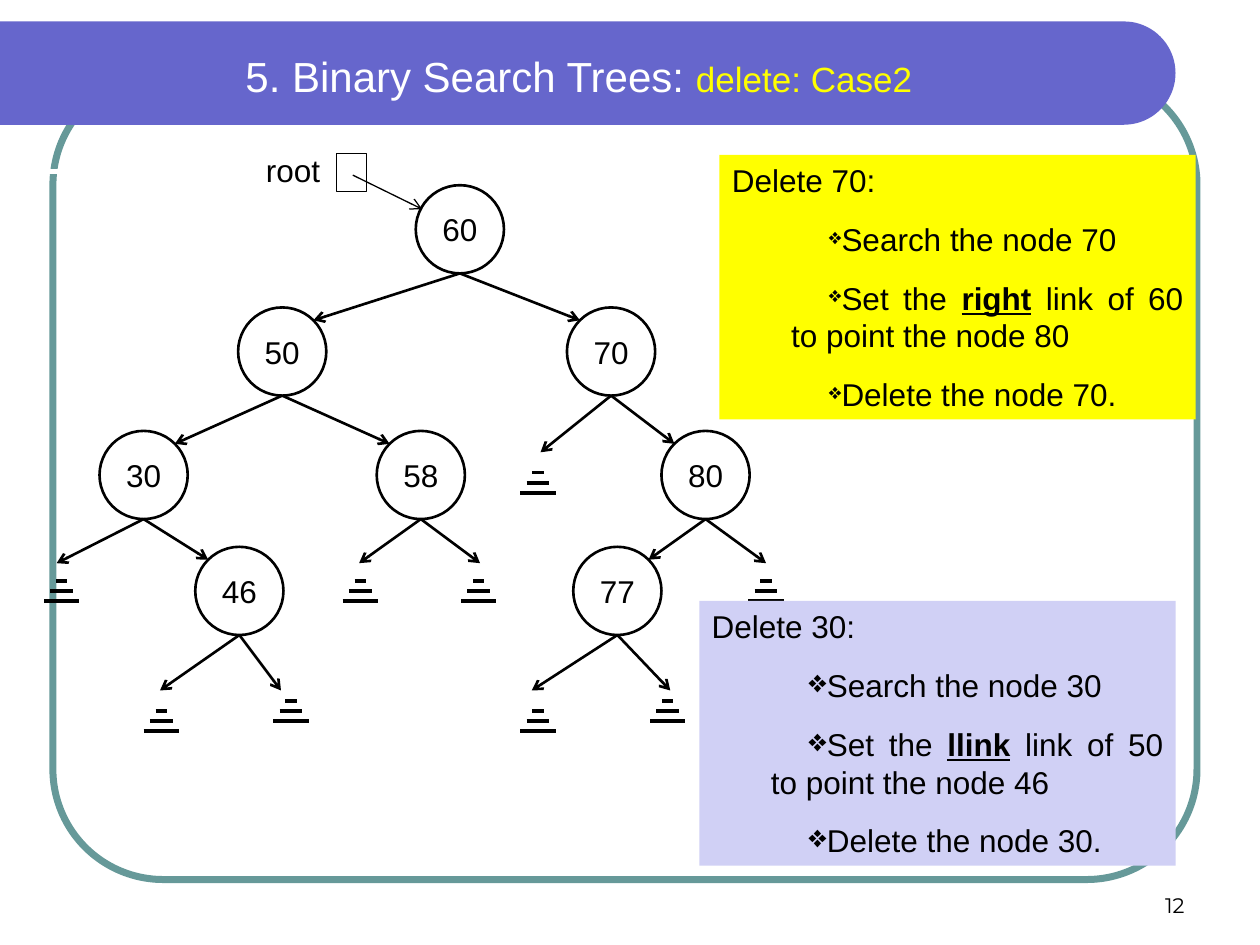
from math import cos, pi, sin

from lxml.etree import SubElement
from pptx import Presentation
from pptx.dml.color import RGBColor
from pptx.enum.shapes import MSO_CONNECTOR as LINE, MSO_SHAPE as SHAPE
from pptx.enum.text import MSO_ANCHOR as ANCHOR, PP_ALIGN as ALIGN
from pptx.oxml.ns import qn
from pptx.util import Inches, Pt

COLORS = {
    "black": "000000", "white": "FFFFFF", "frame": "669999", "banner": "6666CC",
    "yellow": "FFFF00", "lavender": "D0D0F5",
}

# Content
TITLE = [("5. Binary Search Trees: ", 24, "white"), ("delete: Case2", 20, "yellow")]
PAGE_NUMBER = "12"
NODE_SIZE = 0.7
ROW_TOPS = [1.47, 2.44, 3.42, 4.34]
# key: (centre x, row)
NODES = {
    60: (3.65, 0),
    50: (2.24, 1), 70: (4.85, 1),
    30: (1.14, 2), 58: (3.34, 2), 80: (5.6, 2),
    77: (4.9, 3), 46: (1.9, 3),
}
EDGES = [(60, 50), (60, 70), (50, 30), (50, 58), (30, 46), (70, 80), (80, 77)]
# parent, arrow end, (centre x, base y) of the null symbol
NULL_LINKS = [
    (30, (0.45, 4.47), (0.49, 4.77)),
    (58, (2.85, 4.47), (2.86, 4.77)),
    (58, (3.81, 4.47), (3.8, 4.77)),
    (46, (1.27, 5.48), (1.28, 5.8)),
    (46, (2.23, 5.48), (2.31, 5.72)),
    (70, (4.29, 3.59), (4.27, 3.91)),
    (80, (6.08, 4.47), (6.08, 4.77)),
    (77, (4.22, 5.48), (4.27, 5.8)),
    (77, (5.32, 5.48), (5.3, 5.72)),
]
NULL_BARS = [0.28, 0.18, 0.09]
NULL_BAR_GAP = 0.08
# left, top, fill, bullet size in percent, heading, steps; "*" marks emphasis
NOTES = [
    (5.71, 1.23, "yellow", 70, "Delete 70: ",
     ["Search the node 70",
      "Set the *right* link of 60 to point the node 80",
      "Delete the node 70."]),
    (5.55, 4.77, "lavender", 100, "Delete 30: ",
     ["Search the node 30",
      "Set the *llink* link of 50 to point the node 46",
      "Delete the node 30."]),
]


def color(name):
    return RGBColor.from_string(COLORS[name])


def style(shape, fill=None, line=None, weight=1):
    shape.shadow.inherit = False
    if fill:
        shape.fill.solid()
        shape.fill.fore_color.rgb = color(fill)
    else:
        shape.fill.background()
    if line:
        shape.line.color.rgb = color(line)
        shape.line.width = Pt(weight)
    else:
        shape.line.fill.background()


def add_box(slide, kind, left, top, width, height, **look):
    box = slide.shapes.add_shape(kind, *map(Inches, (left, top, width, height)))
    style(box, **look)
    return box


def add_line(slide, start, end, weight, ink="black", arrow=False):
    line = slide.shapes.add_connector(LINE.STRAIGHT, *map(Inches, (*start, *end)))
    line.line.color.rgb = color(ink)
    line.line.width = Pt(weight)
    props = line._element.spPr
    if arrow:
        SubElement(props.find(qn("a:ln")), qn("a:tailEnd"), type="arrow")
    SubElement(props, qn("a:effectLst"))


def set_font(part, size=18, ink="black", name="Arial"):
    part.font.size, part.font.name = Pt(size), name
    part.font.color.rgb = color(ink)


def add_label(slide, text, left, top, width, height, align, anchor=ANCHOR.TOP, **font):
    label = slide.shapes.add_textbox(*map(Inches, (left, top, width, height)))
    label.text_frame.word_wrap = True
    label.text_frame.vertical_anchor = anchor
    paragraph = label.text_frame.paragraphs[0]
    paragraph.alignment = align
    paragraph.text = text
    set_font(paragraph, **font)
    return paragraph


def add_bullet(paragraph, percent):
    """Add the bullet; call before the font is set, as defRPr comes last."""
    props = paragraph._p.get_or_add_pPr()
    props.set("marL", str(Inches(0.47)))
    props.set("indent", str(Inches(0.3)))
    SubElement(SubElement(props, qn("a:buClr")), qn("a:srgbClr"), val=COLORS["black"])
    SubElement(props, qn("a:buSzPct"), val=str(percent * 1000))
    SubElement(props, qn("a:buChar"), char="❖")


def add_note(slide, left, top, fill, bullet_size, heading, steps):
    note = add_box(slide, SHAPE.RECTANGLE, left, top, 3.78, 2.1, fill=fill)
    frame = note.text_frame
    frame.word_wrap = True
    frame.vertical_anchor = ANCHOR.TOP
    for i, text in enumerate([heading, *steps]):
        paragraph = frame.add_paragraph() if i else frame.paragraphs[0]
        paragraph.alignment = ALIGN.JUSTIFY
        paragraph.space_after = Pt(12)
        if i:
            paragraph.level = 1
            add_bullet(paragraph, bullet_size)
        set_font(paragraph)
        for j, piece in enumerate(text.split("*")):
            run = paragraph.add_run()
            run.text = piece
            if j % 2:
                run.font.bold = run.font.underline = True


def add_background(slide):
    frame = add_box(slide, SHAPE.ROUNDED_RECTANGLE, 0.42, 0.59, 9.08, 6.39,
                    line="frame", weight=4)
    frame.adjustments[0] = 0.137
    # Banner with a half-round right end
    radius, centre_x, centre_y = 0.41, 8.92, 0.58
    arc = [(centre_x + radius * cos(a), centre_y + radius * sin(a))
           for a in (pi * (step / 40 - 0.5) for step in range(41))]
    outline = slide.shapes.build_freeform(0, Inches(centre_y - radius))
    outline.add_line_segments(
        [(Inches(x), Inches(y)) for x, y in [*arc, (0, centre_y + radius)]], close=True)
    style(outline.convert_to_shape(), fill="banner")
    add_line(slide, (0, 1.36), (8.83, 1.36), 3, "white")


def add_tree(slide):
    radius = NODE_SIZE / 2
    diagonal = radius * cos(pi / 4)

    # Root pointer
    add_label(slide, "root", 1.93, 1.15, 0.79, 0.4, ALIGN.CENTER)
    add_box(slide, SHAPE.RECTANGLE, 2.67, 1.22, 0.24, 0.3, line="black", weight=0.75)

    # Nodes
    for key, (x, row) in NODES.items():
        node = add_box(slide, SHAPE.OVAL, x - radius, ROW_TOPS[row],
                       NODE_SIZE, NODE_SIZE, line="black", weight=1.5)
        node.text_frame.vertical_anchor = ANCHOR.MIDDLE
        paragraph = node.text_frame.paragraphs[0]
        paragraph.text = str(key)
        paragraph.alignment = ALIGN.CENTER
        set_font(paragraph)

    def bottom(key):
        x, row = NODES[key]
        return x, ROW_TOPS[row] + NODE_SIZE

    # Each link meets its child at the upper corner facing the parent
    for parent, child in EDGES:
        x, row = NODES[child]
        side = 1 if NODES[parent][0] > x else -1
        end = (x + side * diagonal, ROW_TOPS[row] + radius - diagonal)
        add_line(slide, bottom(parent), end, 1.5, arrow=True)

    # Null links
    for parent, end, (x, base) in NULL_LINKS:
        add_line(slide, bottom(parent), end, 1.5, arrow=True)
        for i, bar in enumerate(NULL_BARS):
            y = base - i * NULL_BAR_GAP
            add_line(slide, (x - bar / 2, y), (x + bar / 2, y), 2.25)

    add_line(slide, (2.8, 1.39), (3.35, 1.66), 0.75, arrow=True)


def main():
    prs = Presentation()
    prs.slide_width, prs.slide_height = Inches(10), Inches(7.5)
    slide = prs.slides.add_slide(prs.slide_layouts[6])

    add_background(slide)

    # Title and page number
    title = add_label(slide, "", 0.21, 0.27, 8.77, 0.66, ALIGN.CENTER, ANCHOR.MIDDLE)
    for text, size, ink in TITLE:
        run = title.add_run()
        run.text = text
        set_font(run, size, ink)
    add_label(slide, PAGE_NUMBER, 7.17, 6.83, 2.33, 0.5, ALIGN.RIGHT, ANCHOR.BOTTOM,
              size=12, name="Montserrat")

    add_tree(slide)
    for note in NOTES:
        add_note(slide, *note)

    prs.save("out.pptx")


if __name__ == "__main__":
    main()
